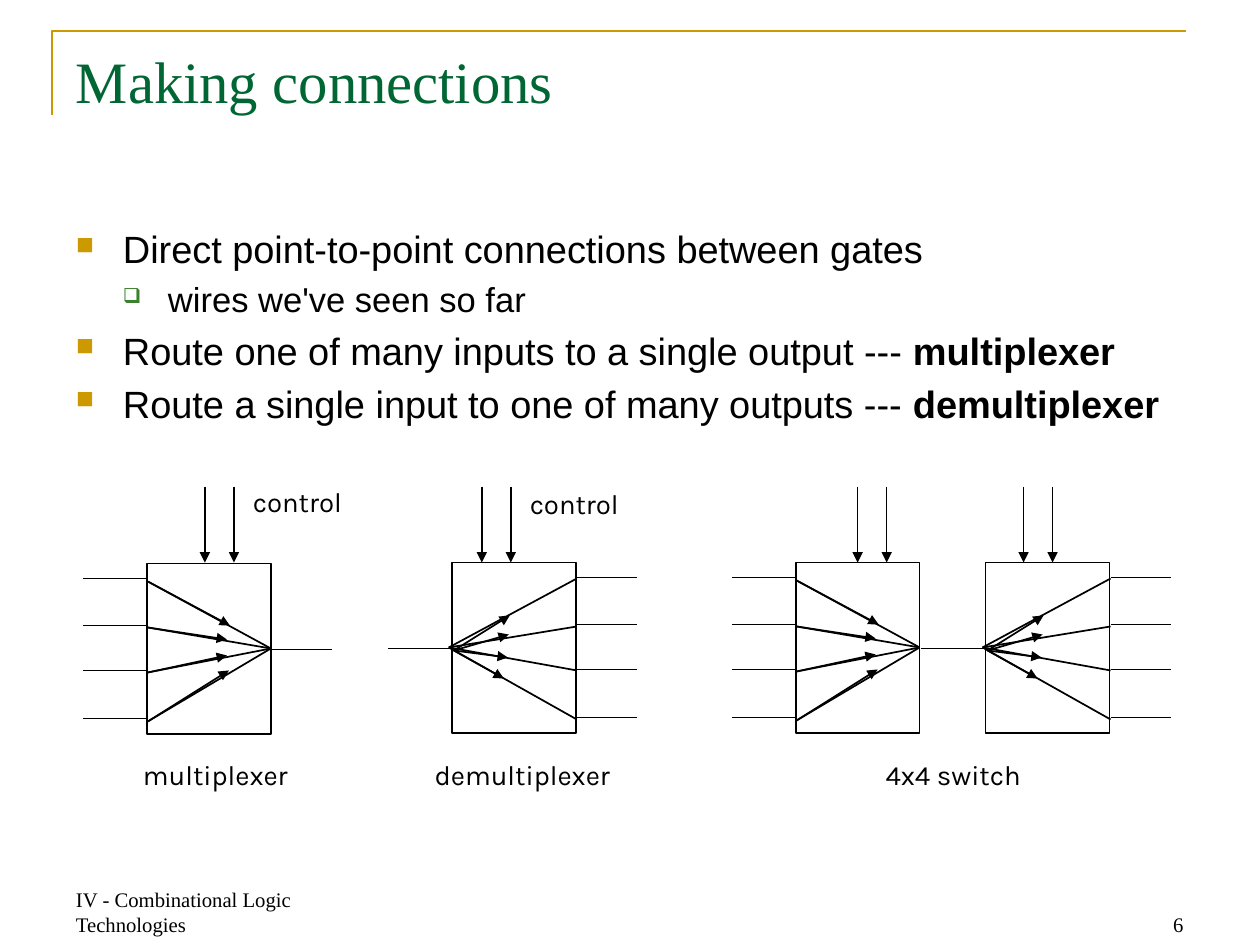
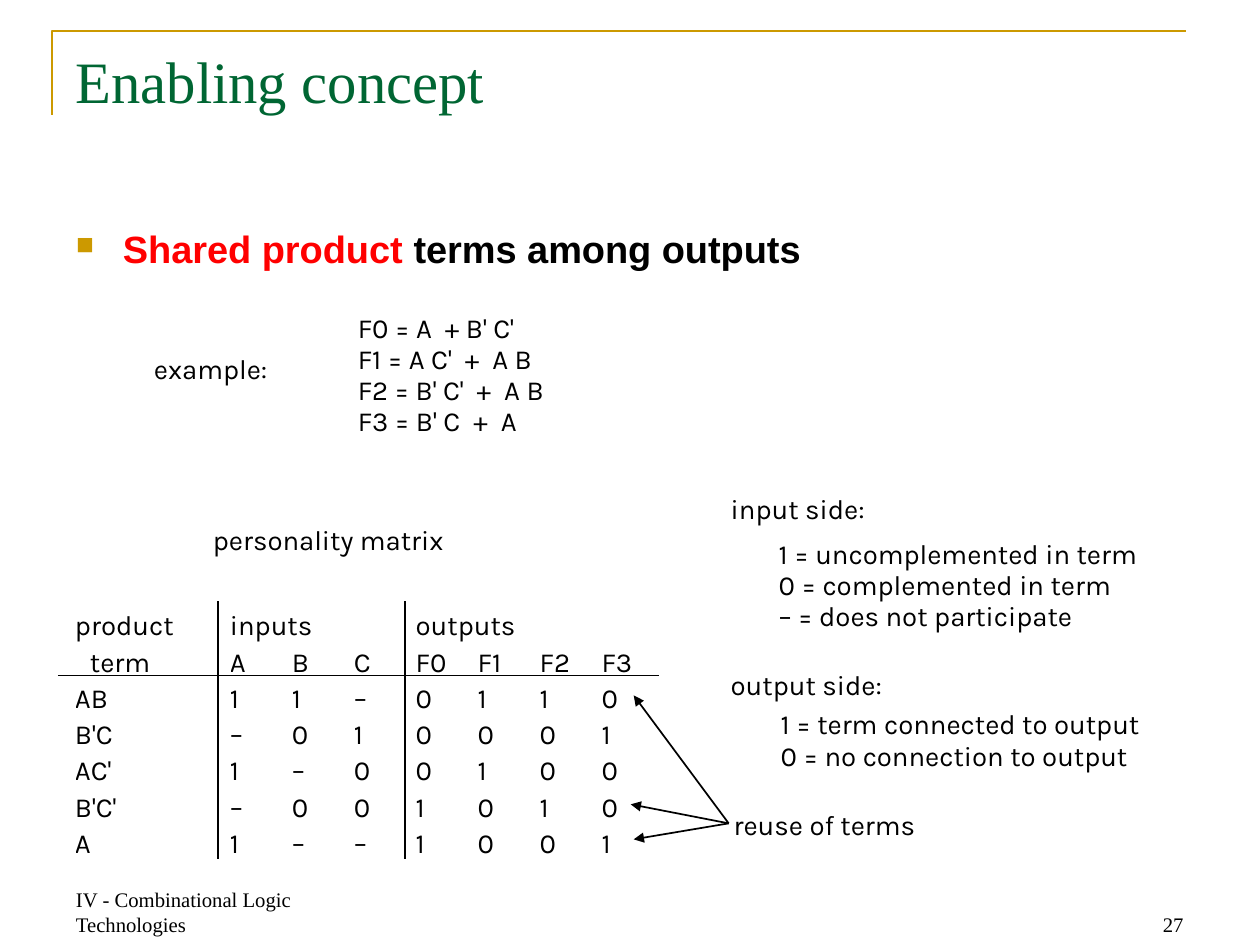
"""Build two lecture slides on multiplexers and shared product terms."""
from lxml import etree
from pptx import Presentation
from pptx.dml.color import RGBColor
from pptx.enum.shapes import MSO_CONNECTOR, MSO_SHAPE
from pptx.enum.text import MSO_ANCHOR as ANCHOR, PP_ALIGN as ALIGN
from pptx.oxml.ns import qn
from pptx.util import Inches, Pt

PX = 7356
BLACK, GREEN, GOLD, LEAF, RED = "000000", "006633", "CC9900", "3B812F", "FF0000"
SERIF, SANS, LABEL = "Times New Roman", "Arial", "Karla"
rgb = RGBColor.from_string


def text(s, x, y, w, h, lines, size=16, font=LABEL, color=BLACK, spacing=None,
         align=ALIGN.LEFT, anchor=ANCHOR.TOP, inset=(2, 4)):
    tf = s.shapes.add_textbox(x * PX, y * PX, w * PX, h * PX).text_frame
    tf.word_wrap = True
    tf.vertical_anchor = anchor
    tf.margin_left = tf.margin_right = inset[0] * PX
    tf.margin_top = tf.margin_bottom = inset[1] * PX
    tf.text = "\n".join(lines)
    for p in tf.paragraphs:
        p.alignment = align
        if spacing:
            p.line_spacing = Pt(spacing)
        for r in p.runs:
            r.font.size, r.font.name = Pt(size), font
            r.font.color.rgb = rgb(color)


def line(shapes, x1, y1, x2, y2, arrow=False):
    c = shapes.add_connector(MSO_CONNECTOR.STRAIGHT, x1 * PX, y1 * PX, x2 * PX, y2 * PX)
    c.line.color.rgb = rgb(BLACK)
    c.line.width = Pt(1)
    props = c._element.spPr
    if arrow:
        etree.SubElement(props.find(qn("a:ln")), qn("a:tailEnd"), type="triangle")
    etree.SubElement(props, qn("a:effectLst"))


prs = Presentation()
prs.slide_width, prs.slide_height = Inches(10.14), Inches(7.6)

levels = [
    dict(size=22, left=47, hang=47, char="■", color=GOLD, percent="65000"),
    dict(size=20, left=92, hang=45, char="❑", color=LEAF, percent="60000"),
]
pages = [
    ("Making connections", "6", [
        (0, [("Direct point-to-point connections between gates", BLACK, False)]),
        (1, [("wires we've seen so far", BLACK, False)]),
        (0, [("Route one of many inputs to a single output --- ", BLACK, False),
             ("multiplexer", BLACK, True)]),
        (0, [("Route a single input to one of many outputs --- ", BLACK, False),
             ("demultiplexer", BLACK, True)]),
    ]),
    ("Enabling concept", "27", [
        (0, [("Shared product ", RED, True), ("terms among outputs", BLACK, True)]),
    ]),
]

for title, number, bullets in pages:
    s = prs.slides.add_slide(prs.slide_layouts[6])
    builder = s.shapes.build_freeform(52, 115, scale=PX)
    builder.add_line_segments([(52, 31), (1186, 31)], close=False)
    sp = builder.convert_to_shape()
    sp.shadow.inherit = False
    sp.fill.background()
    sp.line.color.rgb = rgb(GOLD)
    sp.line.width = Pt(1.5)
    text(s, 64, 39, 1134, 157, [title], 34, SERIF, GREEN, inset=(12, 6))
    footers = [(64, "IV - Combinational Logic Technologies", ALIGN.LEFT),
               (901, number, ALIGN.RIGHT)]
    for x, words, align in footers:
        text(s, x, 880, 295, 63, [words], 12, SERIF, align=align,
             anchor=ANCHOR.BOTTOM, inset=(12, 6))

    tf = s.shapes.add_textbox(64 * PX, 220 * PX, 1134 * PX, 624 * PX).text_frame
    tf.word_wrap = True
    tf.margin_left = tf.margin_right = 12 * PX
    tf.margin_top = tf.margin_bottom = 6 * PX
    for i, (depth, runs) in enumerate(bullets):
        p = tf.add_paragraph() if i else tf.paragraphs[0]
        level = levels[depth]
        p.level = depth
        ppr = p._p.get_or_add_pPr()
        ppr.set("marL", str(level["left"] * PX))
        ppr.set("indent", str(-level["hang"] * PX))
        before = etree.SubElement(ppr, qn("a:spcBef"))
        etree.SubElement(before, qn("a:spcPct"), val="20000")
        tint = etree.SubElement(ppr, qn("a:buClr"))
        etree.SubElement(tint, qn("a:srgbClr"), val=level["color"])
        etree.SubElement(ppr, qn("a:buSzPct"), val=level["percent"])
        etree.SubElement(ppr, qn("a:buChar"), char=level["char"])
        for words, color, bold in runs:
            r = p.add_run()
            r.text = words
            r.font.size, r.font.name, r.font.bold = Pt(level["size"]), SANS, bold
            r.font.color.rgb = rgb(color)

connections, concept = prs.slides

mux = dict(port=1, stub=-64, hub=(124, 85), trunk=(125, 185),
           wires=[(18, 83, 62), (64, 80, 76), (109, 80, 92), (158, 82, 107)])
demux = dict(port=125, stub=185, hub=(-3, 85), trunk=(2, -64),
             wires=[(16, 58, 53), (64, 57, 72), (108, 56, 95), (157, 52, 116)])
devices = [(147, 564, 205, mux), (452, 563, 482, demux),
           (796, 563, 858, mux), (986, 563, 1024, demux)]
for left, top, control, kind in devices:
    shapes = connections.shapes.add_group_shape().shapes
    sp = shapes.add_shape(MSO_SHAPE.RECTANGLE, left * PX, top * PX, 124 * PX, 171 * PX)
    sp.shadow.inherit = False
    sp.fill.background()
    sp.line.color.rgb = rgb(BLACK)
    sp.line.width = Pt(1)
    port = left + kind["port"]
    hub_x, hub_y = left + kind["hub"][0], top + kind["hub"][1]
    start, end = kind["trunk"]
    line(shapes, left + start, top + 86, left + end, top + 86)
    for stub_y, (port_y, tip_x, tip_y) in zip((15, 62, 107, 155), kind["wires"]):
        line(shapes, port, top + stub_y, left + kind["stub"], top + stub_y)
        line(shapes, port, top + port_y, hub_x, hub_y)
        tail = (port, top + port_y) if kind is mux else (left + 2, top + 88)
        line(shapes, *tail, left + tip_x, top + tip_y, arrow=True)
    for x in (control, control + 29):
        line(connections.shapes, x, 487, x, 563, arrow=True)

captions = [(109, 750, 213, "multiplexer"), (399, 750, 247, "demultiplexer"),
            (849, 750, 209, "4x4 switch"), (219, 476, 157, "control"),
            (496, 478, 157, "control")]
for x, y, w, words in captions:
    text(connections, x, y, w, 58, [words], spacing=22, align=ALIGN.CENTER)

notes = [
    (152, 345, 168, 53, 21, ["example:"]),
    (356, 309, 267, 142, 18, ["F0 = A  + B' C'", "F1 = A C'  +  A B",
                              "F2 = B' C'  +  A B", "F3 = B' C  +  A"]),
    (211, 516, 297, 53, 21, ["personality matrix"]),
    (777, 535, 434, 111, 18, ["1 = uncomplemented in term", "0 = complemented in term",
                              "– = does not participate"]),
    (779, 706, 449, 80, 18, ["1 = term connected to output", "0 = no connection to output"]),
    (729, 490, 188, 48, 18, ["input side:"]),
    (729, 666, 214, 48, 18, ["output side:"]),
    (732, 800, 244, 89, 22, ["reuse of terms"]),
]
for x, y, w, h, spacing, lines in notes:
    text(concept, x, y, w, h, lines, spacing=spacing)

matrix = [
    ["product", "inputs", "", "", "outputs", "", "", ""],
    ["term", "A", "B", "C", "F0", "F1", "F2", "F3"],
    ["AB", "1", "1", "–", "0", "1", "1", "0"],
    ["B'C", "–", "0", "1", "0", "0", "0", "1"],
    ["AC'", "1", "–", "0", "0", "1", "0", "0"],
    ["B'C'", "–", "0", "0", "1", "0", "1", "0"],
    ["A", "1", "–", "–", "1", "0", "0", "1"],
]
table = concept.shapes.add_table(7, 8, 75 * PX, 607 * PX, 589 * PX, 252 * PX).table
table.first_row = table.horz_banding = False
for i, column in enumerate(table.columns):
    column.width = (62 if i else 155) * PX
for row, values in zip(table.rows, matrix):
    row.height = 36 * PX
    for cell, value in zip(row.cells, values):
        cell.fill.background()
        cell.margin_left = (15 if value == "term" else 0) * PX
        cell.margin_right = cell.margin_top = cell.margin_bottom = 0
        cell.vertical_anchor = ANCHOR.MIDDLE
        cell.text = value
        p = cell.text_frame.paragraphs[0]
        p.line_spacing = Pt(21)
        for r in p.runs:
            r.font.size, r.font.name = Pt(16), LABEL
            r.font.color.rgb = rgb(BLACK)
for first, last in ((1, 3), (4, 7)):
    table.cell(0, first).merge(table.cell(0, last))

line(concept.shapes, 58, 676, 659, 676)
for x in (218, 405):
    line(concept.shapes, x, 602, x, 860)
for x, y in ((634, 696), (631, 805), (634, 840)):
    line(concept.shapes, 729, 824, x, y, arrow=True)

prs.save("out.pptx")
